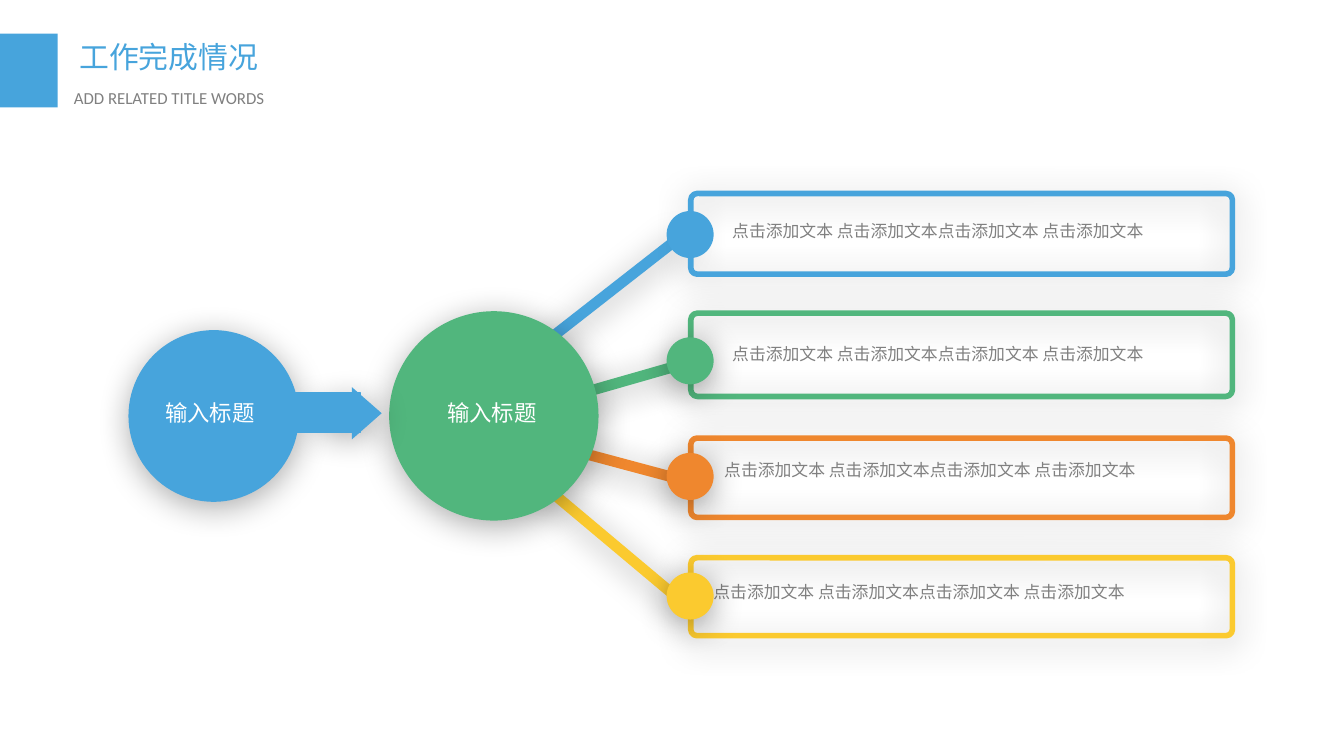
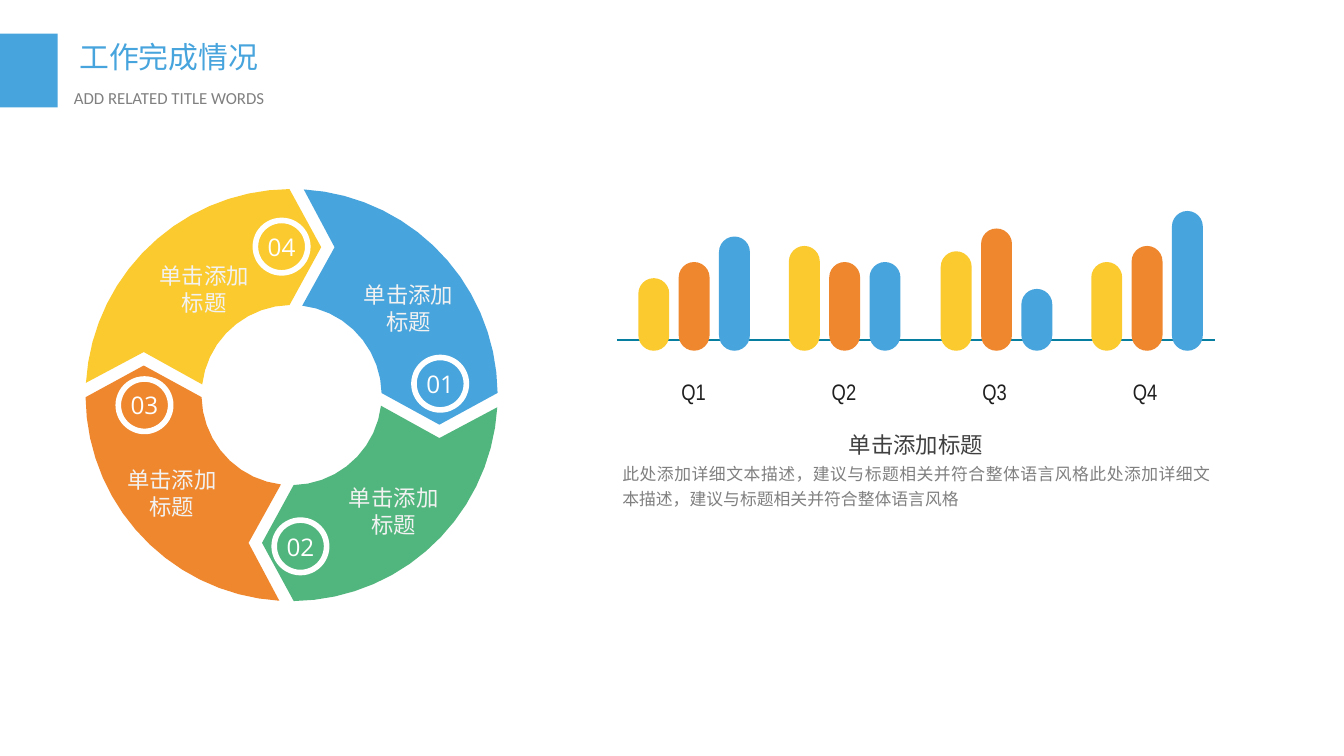
from dataclasses import dataclass
from math import cos, radians, sin
from typing import NamedTuple

from lxml import etree
from pptx import Presentation
from pptx import util as u
from pptx.dml.color import RGBColor
from pptx.enum import shapes, text
from pptx.oxml.ns import qn

PX = 9144  # EMU in one px, 100 px to the inch
SLIDE_WIDTH = 1000 * PX
SLIDE_HEIGHT = SLIDE_WIDTH * 9 // 16
COLORS = {
    "blue": "47A4DC", "green": "51B67D", "orange": "EF872E", "yellow": "FBCA2F",
    "axis": "057EA0", "white": "FFFFFF", "pale": "F2F2F2",
    "gray": "808080", "dark": "404040", "ink": "1F1F1F",
}
CJK = "Noto Sans CJK SC"
KIND = shapes.MSO_SHAPE
ALIGN = text.PP_ALIGN
ANCHOR = text.MSO_ANCHOR
SNUG = (4, 2, 4, 2)
HEADING_INSETS = (8, 4, 8, 4)


class Box(NamedTuple):
    left: int
    top: int
    width: int
    height: int

    def emu(self) -> list[int]:
        return [side * PX for side in self]


@dataclass
class Branch:
    """One coloured arm of the hub: its spoke, frame, dot and wording."""
    color: str
    spoke: Box
    angle: int
    frame: Box
    dot_top: int
    wording: Box


@dataclass
class Segment:
    """One arrow-shaped quarter of the ring, with its number and label."""
    color: str
    badge: tuple[int, int]
    label: Box


@dataclass
class Quarter:
    name: str
    heights: tuple[int, int, int]


BRANCHES = [
    Branch("blue", Box(337, 229, 193, 8), 322, Box(514, 144, 403, 60), 157, Box(535, 159, 374, 40)),
    Branch("green", Box(351, 288, 168, 8), 344, Box(514, 233, 403, 62), 251, Box(535, 251, 344, 40)),
    Branch("orange", Box(350, 333, 166, 8), 15, Box(514, 326, 403, 59), 337, Box(529, 337, 351, 40)),
    Branch("yellow", Box(335, 380, 193, 8), 40, Box(514, 415, 403, 58), 426, Box(521, 428, 368, 40)),
]
SEGMENTS = [
    Segment("blue", (308, 266), Box(265, 207, 78, 44)),
    Segment("green", (204, 387), Box(250, 358, 86, 44)),
    Segment("orange", (88, 282), Box(85, 345, 86, 44)),
    Segment("yellow", (190, 164), Box(109, 193, 86, 44)),
]
QUARTERS = [
    Quarter("Q1", (54, 66, 85)),
    Quarter("Q2", (78, 66, 66)),
    Quarter("Q3", (74, 91, 46)),
    Quarter("Q4", (66, 78, 104)),
]
BAR_COLORS = ("yellow", "orange", "blue")


def rgb(color: str) -> RGBColor:
    return RGBColor.from_string(COLORS[color])


def style(shape, fill: str | None, line: str | None = None, weight: float = 1,
          shadow: bool = False):
    if fill:
        shape.fill.solid()
        shape.fill.fore_color.rgb = rgb(fill)
    else:
        shape.fill.background()
    if line:
        shape.line.color.rgb = rgb(line)
        shape.line.width = u.Pt(weight)
    else:
        shape.line.fill.background()
    shape.shadow.inherit = False
    if shadow:
        effects = shape._element.spPr.find(qn("a:effectLst"))
        outer = etree.SubElement(effects, qn("a:outerShdw"), blurRad="226060",
                                 dist="38100", dir=str(87 * 60000), rotWithShape="0")
        black = etree.SubElement(outer, qn("a:srgbClr"), val="000000")
        etree.SubElement(black, qn("a:alpha"), val="33000")
    return shape


def draw(slide, kind, box: Box, fill: str | None, *, adjust: tuple = (),
         angle: int = 0, **look):
    shape = slide.shapes.add_shape(kind, *box.emu())
    for index, value in enumerate(adjust):
        shape.adjustments[index] = value
    shape.rotation = angle
    return style(shape, fill, **look)


def write(shape, words: str, *, size: float, color: str, font: str = CJK,
          align=ALIGN.LEFT, anchor=ANCHOR.TOP, insets: tuple = (10, 5, 10, 5),
          grow: bool = True, spacing: float | None = None, more: bool = False):
    """Put words in a shape; with more, as a further paragraph."""
    frame = shape.text_frame
    if not more:
        frame.word_wrap = True
        frame.auto_size = (text.MSO_AUTO_SIZE.SHAPE_TO_FIT_TEXT if grow
                           else text.MSO_AUTO_SIZE.NONE)
        frame.vertical_anchor = anchor
        (frame.margin_left, frame.margin_top,
         frame.margin_right, frame.margin_bottom) = [inset * PX for inset in insets]
    paragraph = frame.add_paragraph() if more else frame.paragraphs[0]
    paragraph.alignment = align
    if spacing:
        paragraph.line_spacing = spacing
    run = paragraph.add_run()
    run.text = words
    run.font.size = u.Pt(size)
    run.font.color.rgb = rgb(color)
    run.font.name = font
    run.font._element.find(qn("a:latin")).addnext(
        etree.Element(qn("a:ea"), typeface=font))


def add_text(slide, box: Box, words: str, **form):
    holder = slide.shapes.add_textbox(*box.emu())
    write(holder, words, **form)
    return holder


def start_slide(deck):
    """Add a slide with the shared band, title and subtitle."""
    slide = deck.slides.add_slide(deck.slide_layouts[5])
    draw(slide, KIND.RECTANGLE, Box(0, 25, 43, 55), "blue")
    title = slide.shapes.title
    title.left, title.top, title.width, title.height = Box(51, 25, 201, 35).emu()
    write(title, "工作完成情况", size=16, color="blue", align=ALIGN.JUSTIFY,
          insets=HEADING_INSETS)
    add_text(slide, Box(47, 61, 223, 23), "ADD RELATED TITLE WORDS", size=9,
             color="gray", font="Calibri", align=ALIGN.JUSTIFY, insets=HEADING_INSETS)
    return slide


def build_hub_slide(deck) -> None:
    slide = start_slide(deck)
    caption = dict(size=12, color="white", anchor=ANCHOR.MIDDLE)
    for branch in BRANCHES:
        draw(slide, KIND.ROUNDED_RECTANGLE, branch.spoke, branch.color,
             adjust=(0.5,), angle=branch.angle, shadow=True)
    draw(slide, KIND.OVAL, Box(291, 233, 153, 153), "green", line="green",
         weight=2, shadow=True)
    add_text(slide, Box(323, 292, 157, 30), "输入标题", **caption)

    for branch in BRANCHES:
        draw(slide, KIND.ROUNDED_RECTANGLE, branch.frame, None, adjust=(0.08,),
             line=branch.color, weight=3, shadow=True)
        add_text(slide, branch.wording,
                 "点击添加文本 点击添加文本点击添加文本 点击添加文本",
                 size=9, color="gray")
        draw(slide, KIND.OVAL, Box(496, branch.dot_top, 35, 35), branch.color,
             shadow=branch.color != "blue")

    draw(slide, KIND.RIGHT_ARROW, Box(236, 288, 48, 39), "blue",
         adjust=(0.61, 0.57), shadow=True)
    draw(slide, KIND.OVAL, Box(97, 247, 124, 125), "blue", line="blue",
         weight=2, shadow=True)
    source = draw(slide, KIND.RECTANGLE, Box(113, 292, 155, 30), "blue",
                  line="blue", weight=0.75)
    write(source, "输入标题", **caption)


def arc(radius: float, start: float, end: float, steps: int) -> list[tuple[float, float]]:
    """Points on a circle about (0, 0); degrees run clockwise from the top."""
    angles = [radians(start + (end - start) * i / steps) for i in range(steps + 1)]
    return [(radius * sin(a), -radius * cos(a)) for a in angles]


def draw_ring(slide) -> None:
    center_x, center_y = 217, 294
    outline = [*arc(153.3, 3.4, 89.4, 15), (110, 22),
               *arc(67, 88.7, 6.8, 9), (32, -110)]
    for segment in SEGMENTS:
        points = [((center_x + x) * PX, (center_y + y) * PX) for x, y in outline]
        builder = slide.shapes.build_freeform(*points[0])
        builder.add_line_segments(points[1:])
        style(builder.convert_to_shape(), segment.color)
        outline = [(-y, x) for x, y in outline]  # a quarter turn clockwise

    for number, segment in enumerate(SEGMENTS, 1):
        badge = draw(slide, KIND.OVAL, Box(*segment.badge, 39, 39), None,
                     line="white", weight=3)
        write(badge, f"{number:02}", size=13, color="white", font="Open Sans",
              align=ALIGN.CENTER, anchor=ANCHOR.MIDDLE, insets=(0, 0, 0, 0), grow=False)
        add_text(slide, segment.label, "单击添加标题", size=12, color="pale",
                 align=ALIGN.CENTER, insets=SNUG)


def draw_quarters(slide) -> None:
    baseline = 261
    axis = slide.shapes.add_connector(shapes.MSO_CONNECTOR.STRAIGHT,
                                      459 * PX, 253 * PX, 904 * PX, 253 * PX)
    axis.line.color.rgb = rgb("axis")
    axis.line.width = u.Pt(1)
    etree.SubElement(axis._element.spPr, qn("a:effectLst"))
    for q, quarter in enumerate(QUARTERS):
        first = round(475 + q * 337 / 3)
        for b, (color, height) in enumerate(zip(BAR_COLORS, quarter.heights)):
            draw(slide, KIND.ROUNDED_RECTANGLE,
                 Box(first + 30 * b, baseline - height, 23, height), color, adjust=(0.5,))
        add_text(slide, Box(499 + 112 * q, 277, 34, 28), quarter.name, size=12,
                 color="ink", font="Arial Narrow", align=ALIGN.CENTER, insets=(0, 4, 0, 4))


def build_ring_slide(deck) -> None:
    slide = start_slide(deck)
    draw_quarters(slide)
    summary = add_text(slide, Box(459, 319, 445, 60), "单击添加标题", size=12,
                       color="dark", align=ALIGN.CENTER, insets=SNUG)
    write(summary, "此处添加详细文本描述，建议与标题相关并符合整体语言风格"
          "此处添加详细文本描述，建议与标题相关并符合整体语言风格",
          size=9, color="gray", align=ALIGN.JUSTIFY, spacing=1.25, more=True)
    draw_ring(slide)


def main() -> None:
    deck = Presentation()
    deck.slide_width, deck.slide_height = SLIDE_WIDTH, SLIDE_HEIGHT
    build_hub_slide(deck)
    build_ring_slide(deck)
    deck.save("out.pptx")


if __name__ == "__main__":
    main()
